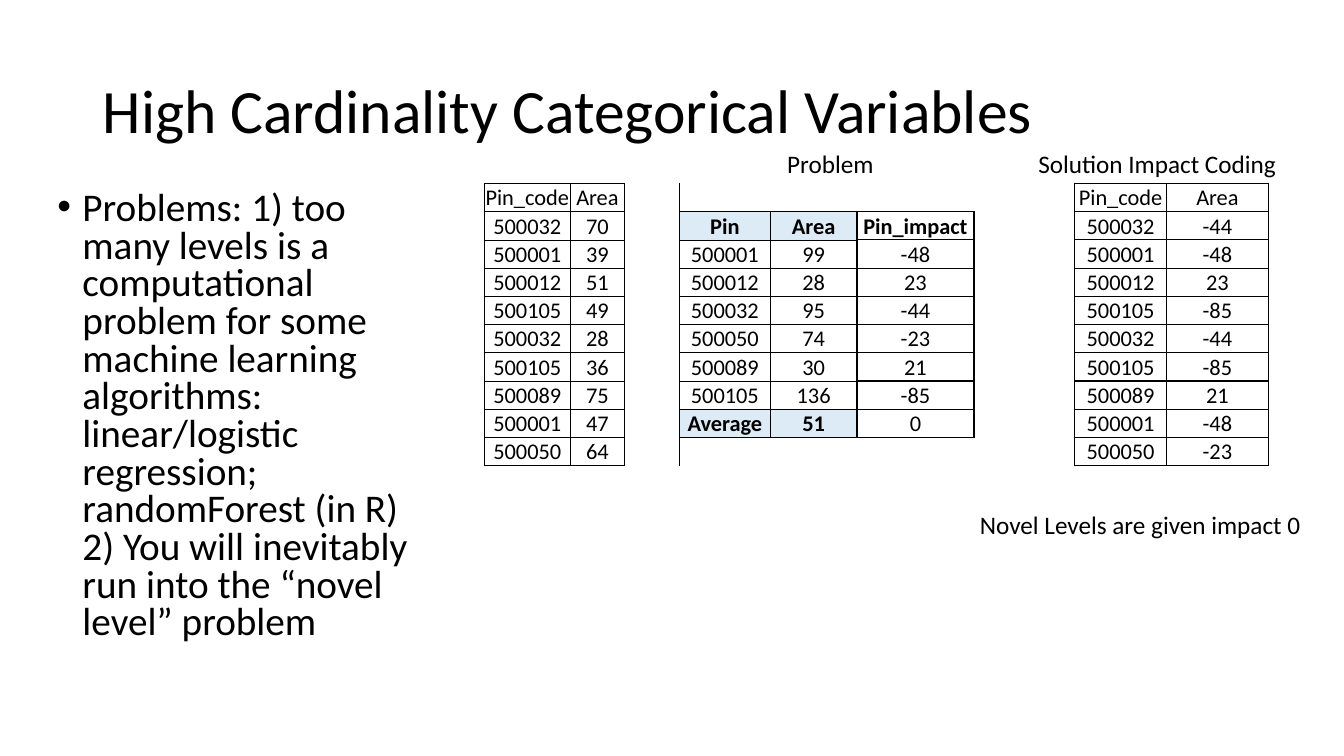
from lxml import etree
from pptx import Presentation
from pptx.dml.color import RGBColor
from pptx.enum.text import MSO_ANCHOR, PP_ALIGN
from pptx.oxml.ns import qn
from pptx.util import Inches, Pt

MIDDLE = MSO_ANCHOR.MIDDLE
TOP = MSO_ANCHOR.TOP
CENTER = PP_ALIGN.CENTER
BLACK = RGBColor(0, 0, 0)
PALE_BLUE = RGBColor(0xDD, 0xEB, 0xF7)
NO_STYLE = "{2D5ABB26-0587-4C30-8999-92F81FD0307C}"
SIDES = {"lnL": (0, -1), "lnR": (0, 1), "lnT": (-1, 0), "lnB": (1, 0)}


def add_span(para, text, size, bold=False):
    span = para.add_run()
    span.text = text
    span.font.name = "Calibri"
    span.font.size = Pt(size)
    span.font.bold = bold
    span.font.color.rgb = BLACK


def add_text(page, area, text, size, anchor=TOP, wrap=True):
    box = page.shapes.add_textbox(*[Inches(value) for value in area])
    box.text_frame.word_wrap = wrap
    box.text_frame.vertical_anchor = anchor
    para = box.text_frame.paragraphs[0]
    add_span(para, text, size)
    return para


deck = Presentation()
deck.slide_width = Inches(13.33)
deck.slide_height = Inches(7.5)
page = deck.slides.add_slide(deck.slide_layouts[6])

title = add_text(page, (0.92, 0.4, 11.5, 1.45),
                 "High Cardinality Categorical Variables", 44, MIDDLE)
title.line_spacing = 0.9

problems = add_text(
    page, (0.47, 1.85, 3.96, 4.76),
    "Problems: 1) too many levels is a computational problem for some machine "
    "learning algorithms: linear/logistic regression; randomForest (in R) "
    "2) You will inevitably run into the “novel level” problem", 28)
problems.line_spacing = 0.8
problems.space_before = Pt(10)
properties = problems._p.get_or_add_pPr()
properties.set("marL", str(Inches(0.25)))
properties.set("indent", str(-Inches(0.25)))
etree.SubElement(properties, qn("a:buFont")).set("typeface", "Arial")
etree.SubElement(properties, qn("a:buChar")).set("char", "•")

observations = [
    ("Pin_code", "Area"), ("500032", "70"), ("500001", "39"), ("500012", "51"),
    ("500105", "49"), ("500032", "28"), ("500105", "36"), ("500089", "75"),
    ("500001", "47"), ("500050", "64"),
]
impacts = [
    ("Pin", "Area", "Pin_impact"), ("500001", "99", "-48"), ("500012", "28", "23"),
    ("500032", "95", "-44"), ("500050", "74", "-23"), ("500089", "30", "21"),
    ("500105", "136", "-85"), ("Average", "51", "0"),
]
impact_by_pin = {pin: impact for pin, area, impact in impacts}
impact_by_pin["Pin_code"] = "Area"

blank = ("", "", "")
middle_rows = [blank] + impacts + [blank]
values = [
    (pin, area, "", *middle, "", pin, impact_by_pin[pin])
    for (pin, area), middle in zip(observations, middle_rows)
]
widths = [0.86, 0.53, 0.55, 0.9, 0.86, 1.16, 1, 0.91, 1.01]
row_height = 0.28
first_thick_column = 5

frame = page.shapes.add_table(
    len(values), len(widths), Inches(4.8), Inches(1.82),
    Inches(sum(widths)), Inches(row_height * len(values)))
table = frame.table
table.first_row = False
table.horz_banding = False
table._tbl.tblPr.find(qn("a:tableStyleId")).text = NO_STYLE
for column, width in zip(table.columns, widths):
    column.width = Inches(width)
for row in table.rows:
    row.height = Inches(row_height)

filled = {(r, c) for r, row in enumerate(values) for c, text in enumerate(row) if text}
for r, row in enumerate(values):
    for c, text in enumerate(row):
        cell = table.cell(r, c)
        cell.vertical_anchor = MIDDLE
        cell.margin_left = cell.margin_top = cell.margin_right = Inches(0.01)
        cell.margin_bottom = 0
        para = cell.text_frame.paragraphs[0]
        para.alignment = CENTER
        header = r == 1 and c in (3, 4, 5)
        average = r == 8 and c in (3, 4)
        if text:
            add_span(para, text, 16, header or average)
        else:
            etree.SubElement(para._p, qn("a:endParaRPr")).set("sz", "1200")

        cell_properties = cell._tc.get_or_add_tcPr()
        for side, (down, across) in SIDES.items():
            owners = filled & {(r, c), (r + down, c + across)}
            if owners:
                thick = any(column >= first_thick_column for _, column in owners)
                line = etree.SubElement(cell_properties, qn("a:" + side))
                line.set("w", str(Pt(1 if thick else 0.5)))
                paint = etree.SubElement(line, qn("a:solidFill"))
                etree.SubElement(paint, qn("a:srgbClr")).set("val", str(BLACK))

        if average or (header and c < first_thick_column):
            cell.fill.solid()
            cell.fill.fore_color.rgb = PALE_BLUE
        else:
            cell.fill.background()

captions = [
    ("Problem", 7.71, 1.42, 1.07),
    ("Solution Impact Coding", 10.2, 1.42, 2.59),
    ("Novel Levels are given impact 0", 9.62, 5, 3.42),
]
for text, left, top, width in captions:
    add_text(page, (left, top, width, 0.4), text, 18, wrap=False)

deck.save("out.pptx")
